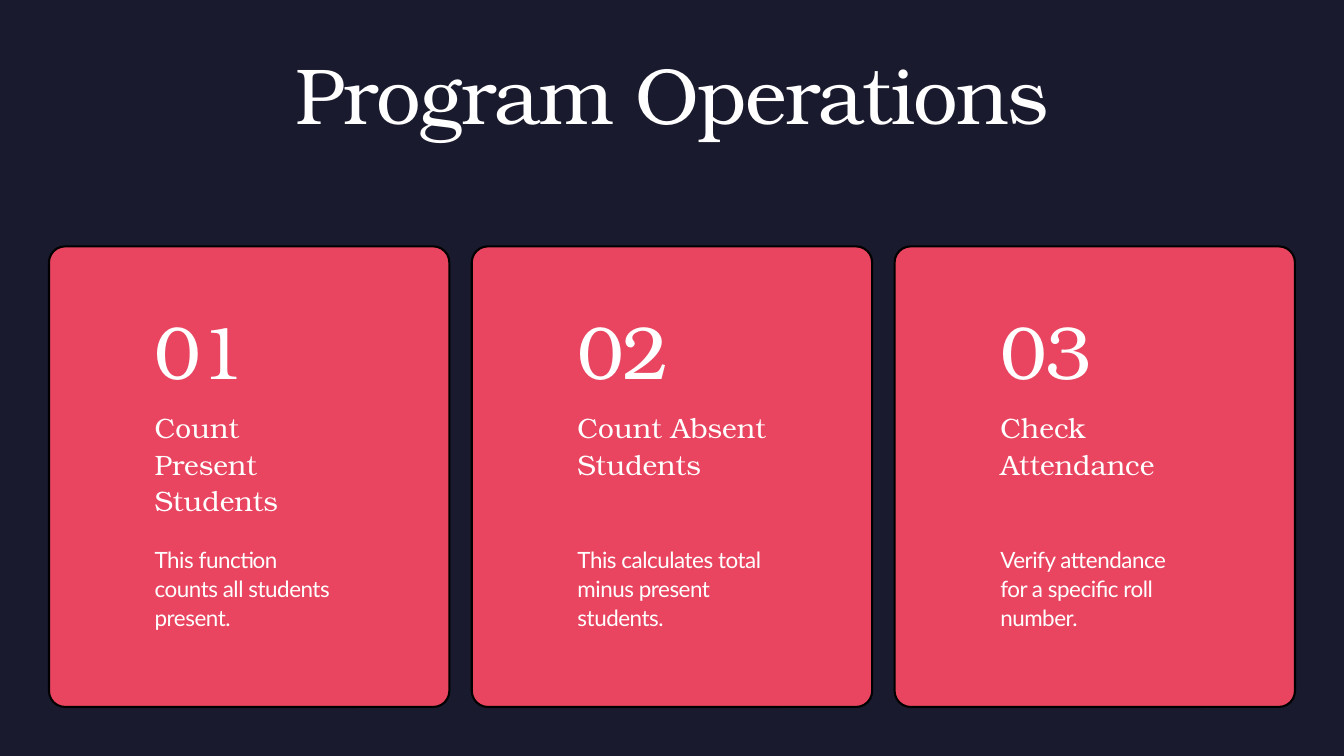
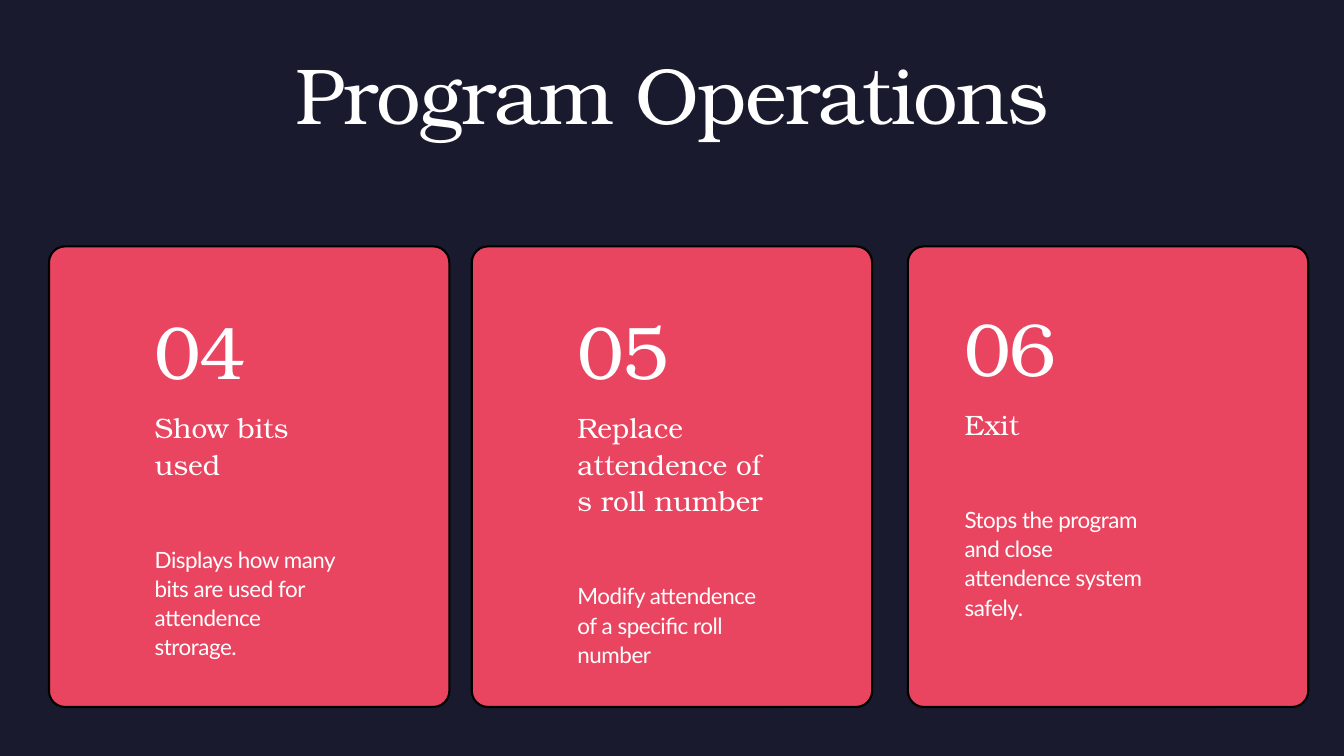
from dataclasses import dataclass

from pptx import Presentation
from pptx.dml.color import RGBColor
from pptx.enum.shapes import MSO_SHAPE
from pptx.enum.text import MSO_ANCHOR, MSO_AUTO_SIZE, PP_ALIGN
from pptx.shapes.base import BaseShape
from pptx.slide import Slide
from pptx.util import Pt

ROUNDED = MSO_SHAPE.ROUNDED_RECTANGLE
TOP = MSO_ANCHOR.TOP
FIT_SHAPE = MSO_AUTO_SIZE.SHAPE_TO_FIT_TEXT
LEFT, CENTER = PP_ALIGN.LEFT, PP_ALIGN.CENTER

NAVY = RGBColor(0x1A, 0x1A, 0x2E)
CORAL = RGBColor(0xE9, 0x45, 0x60)
BLACK = RGBColor(0x00, 0x00, 0x00)
WHITE = RGBColor(0xFF, 0xFF, 0xFF)

EMU_PER_PX = 9525
SLIDE_WIDTH, SLIDE_HEIGHT = 1920, 1080
TITLE_ONLY = 5

MARGIN = 70
CARD_TOP, CARD_WIDTH, CARD_HEIGHT = 352, 572, 658
CARD_STEP = 604
CORNER_RADIUS = 23
TEXT_WIDTH = 270
NUMBER_HEIGHT = 116
HEADING_OFFSET = 126
HEADING_LINE, BODY_LINE = 52, 41
BODY_GAP = 90


@dataclass(frozen=True)
class TextStyle:
    font: str
    size: int
    line_spacing: float
    tracking: int = 0  # hundredths of a point
    alignment: PP_ALIGN = LEFT


TITLE = TextStyle("TeX Gyre Bonum", 85, 85, -170, CENTER)
NUMBER = TextStyle("TeX Gyre Bonum", 80, 80, -160)
HEADING = TextStyle("TeX Gyre Bonum", 30, 39)
BODY = TextStyle("Lato", 24, 31.2, -50)


@dataclass(frozen=True)
class Card:
    number: str
    heading: str
    body: str
    heading_lines: int = 2
    body_lines: int = 3
    shift: int = 0
    inset_x: int = 151
    inset_y: int = 105


SLIDES = [
    ("Program Operations", [
        Card("01", "Count Present Students", "This function counts all students present."),
        Card("02", "Count Absent Students", "This calculates total minus present students."),
        Card("03", "Check Attendance", "Verify attendance for a specific roll number."),
    ]),
    ("Program Operations", [
        Card("04", "Show bits\nused", "Displays how many bits are used for attendence strorage.",
             body_lines=4),
        Card("05", "Replace attendence of s roll number",
             "Modify attendence of a specific roll number", heading_lines=3),
        Card("06", "Exit", "Stops the program and close attendence system safely.",
             heading_lines=1, body_lines=4, shift=19, inset_x=81, inset_y=100),
    ]),
]


def px(length: int) -> int:
    return length * EMU_PER_PX


def set_attributes(target: object, values: dict[str, object]) -> None:
    for name, value in values.items():
        setattr(target, name, value)


def write_text(shape: BaseShape, text: str, style: TextStyle) -> None:
    frame = shape.text_frame
    frame.text = text
    set_attributes(frame, {
        "margin_left": 0, "margin_top": 0, "margin_right": 0, "margin_bottom": 0,
        "word_wrap": True, "vertical_anchor": TOP, "auto_size": FIT_SHAPE,
    })
    for paragraph in frame.paragraphs:
        set_attributes(paragraph, {
            "alignment": style.alignment, "line_spacing": Pt(style.line_spacing),
        })
        for run in paragraph.runs:
            set_attributes(run.font, {"name": style.font, "size": Pt(style.size)})
            run.font.color.rgb = WHITE
            run._r.get_or_add_rPr().set("spc", str(style.tracking))


def add_title(slide: Slide, text: str) -> None:
    title = slide.shapes.title
    set_attributes(title, {
        "left": px(MARGIN), "top": px(87),
        "width": px(SLIDE_WIDTH - 2 * MARGIN), "height": px(119),
    })
    write_text(title, text, TITLE)


def add_panel(slide: Slide, left: int) -> None:
    panel = slide.shapes.add_shape(
        ROUNDED, px(left), px(CARD_TOP), px(CARD_WIDTH), px(CARD_HEIGHT))
    panel.adjustments[0] = CORNER_RADIUS / CARD_WIDTH
    panel.shadow.inherit = False
    panel.fill.solid()
    panel.fill.fore_color.rgb = CORAL
    panel.line.color.rgb = BLACK
    panel.line.width = Pt(2.25)


def add_card(slide: Slide, column: int, card: Card) -> None:
    left = MARGIN + column * CARD_STEP + card.shift
    add_panel(slide, left)

    number_top = CARD_TOP + card.inset_y
    heading_top = number_top + HEADING_OFFSET
    heading_height = card.heading_lines * HEADING_LINE
    body_top = heading_top + heading_height + BODY_GAP
    for text, style, top, height in (
        (card.number, NUMBER, number_top, NUMBER_HEIGHT),
        (card.heading, HEADING, heading_top, heading_height),
        (card.body, BODY, body_top, card.body_lines * BODY_LINE),
    ):
        box = slide.shapes.add_textbox(
            px(left + card.inset_x), px(top), px(TEXT_WIDTH), px(height))
        write_text(box, text, style)


def main() -> None:
    presentation = Presentation()
    presentation.slide_width = px(SLIDE_WIDTH)
    presentation.slide_height = px(SLIDE_HEIGHT)
    background = presentation.slide_master.background.fill
    background.solid()
    background.fore_color.rgb = NAVY

    for title, cards in SLIDES:
        slide = presentation.slides.add_slide(presentation.slide_layouts[TITLE_ONLY])
        add_title(slide, title)
        for column, card in enumerate(cards):
            add_card(slide, column, card)
    presentation.save("out.pptx")


if __name__ == "__main__":
    main()
